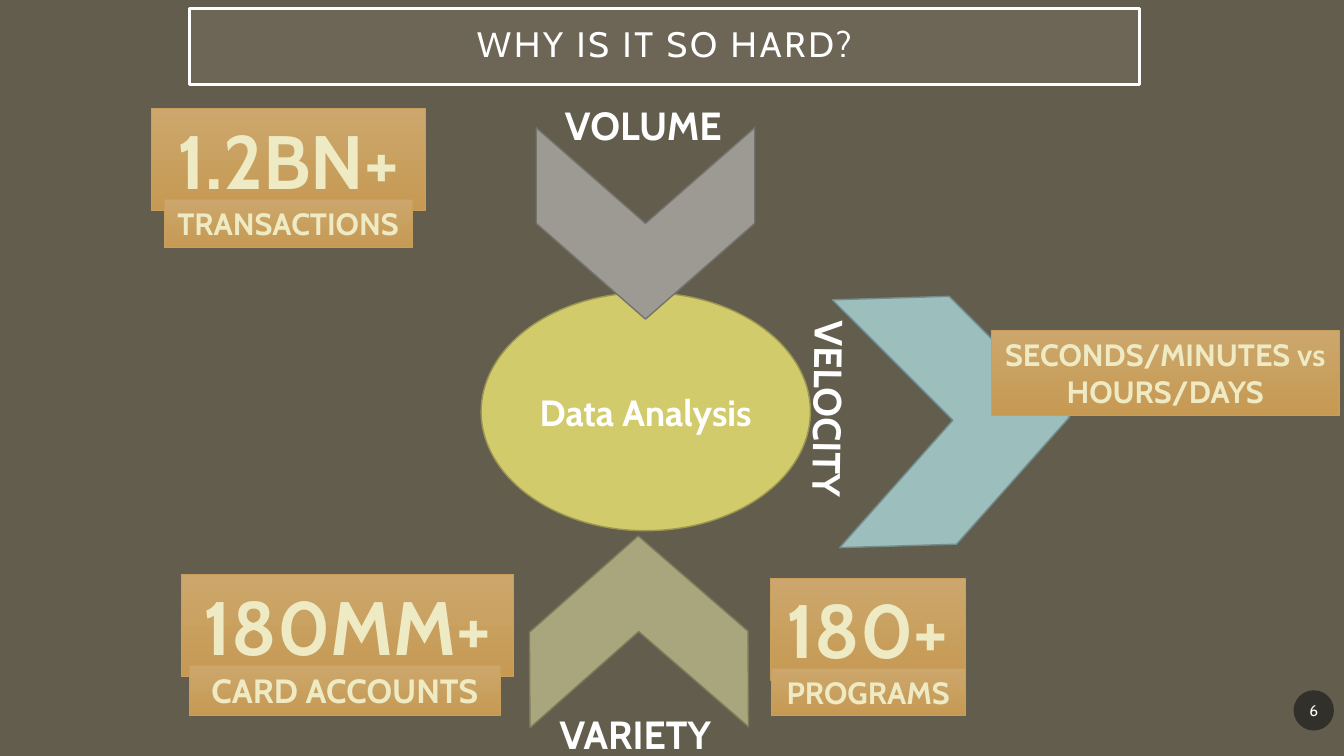
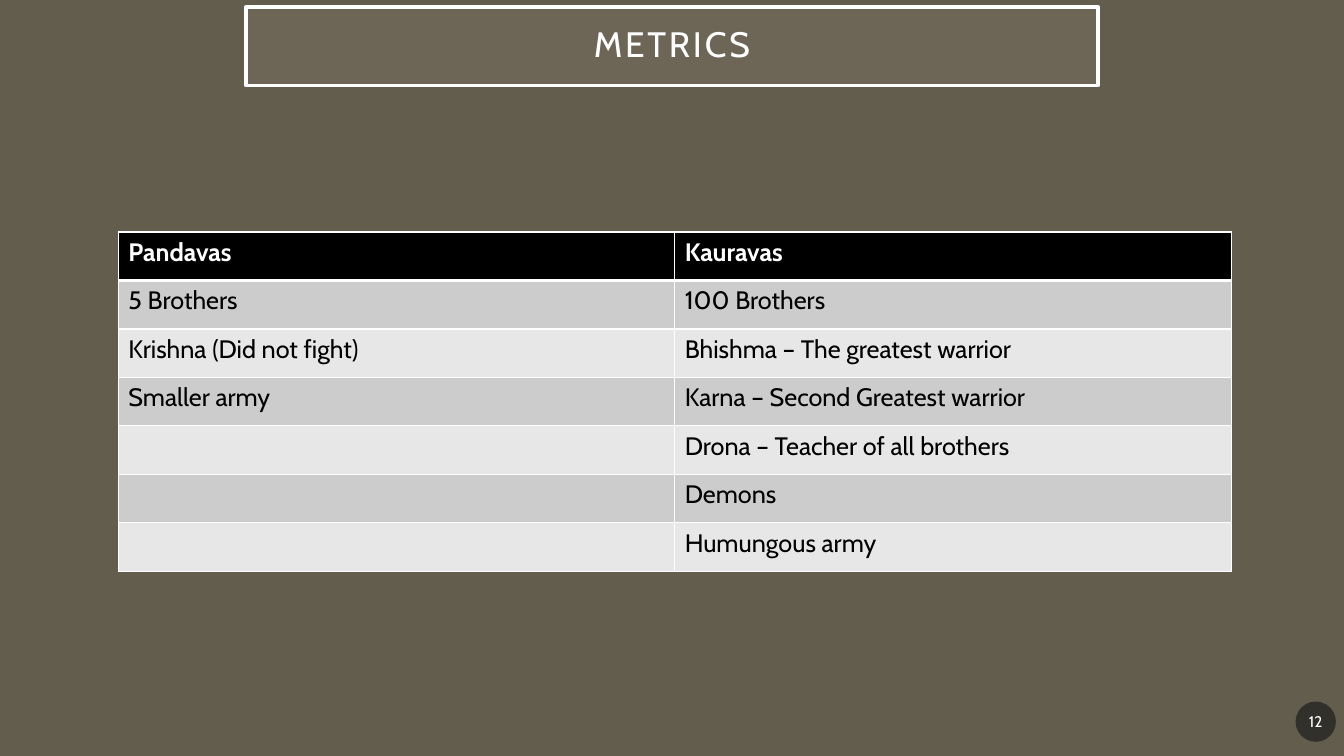
from dataclasses import dataclass

from lxml import etree
from pptx import Presentation
from pptx.dml.color import RGBColor
from pptx.enum.shapes import MSO_SHAPE
from pptx.enum.text import MSO_ANCHOR, MSO_AUTO_SIZE, PP_ALIGN
from pptx.oxml.ns import qn
from pptx.util import Inches, Pt

RECTANGLE, OVAL, CHEVRON = MSO_SHAPE.RECTANGLE, MSO_SHAPE.OVAL, MSO_SHAPE.CHEVRON
TOP, MIDDLE = MSO_ANCHOR.TOP, MSO_ANCHOR.MIDDLE
LEFT, CENTER = PP_ALIGN.LEFT, PP_ALIGN.CENTER
FIXED, GROW = MSO_AUTO_SIZE.NONE, MSO_AUTO_SIZE.SHAPE_TO_FIT_TEXT
SLIDE_WIDTH, SLIDE_HEIGHT = Inches(13.33), Inches(7.5)
TITLE_ONLY = 5


@dataclass(frozen=True)
class Theme:
    font: str = "Cabin"
    background: str = "635D4D"
    white: str = "FFFFFF"
    black: str = "000000"
    title_fill: str = "A7A08E"
    number_fill: str = "1D1D1D"
    hub: tuple = ("D2CB6C", "9B9650")
    volume: tuple = ("9D9A93", "74726D")
    velocity: tuple = ("9CBEBD", "738D8C")
    variety: tuple = ("A9A57C", "7D7A5C")
    badge_top: str = "CCA66C"
    badge_bottom: str = "C69A53"
    badge_line: str = "C89F5D"
    badge_text: str = "EDEAC4"
    badge_outline: str = "D2CB6C"
    bands: tuple = ("E7E7E7", "CCCCCC")
    title_size: float = 25.2
    hub_size: int = 26
    arrow_size: int = 28
    figure_size: int = 54
    caption_size: int = 22
    table_size: int = 18
    number_size: int = 11


THEME = Theme()


def rgb(color):
    return RGBColor.from_string(color)


def share(left, top, width, height):
    return (
        round(SLIDE_WIDTH * left / 100),
        round(SLIDE_HEIGHT * top / 100),
        round(SLIDE_WIDTH * width / 100),
        round(SLIDE_HEIGHT * height / 100),
    )


def line_element(tag, color, width):
    line = etree.Element(qn(tag), w=str(Pt(width)))
    fill = etree.SubElement(line, qn("a:solidFill"))
    etree.SubElement(fill, qn("a:srgbClr"), val=color)
    return line


def write(frame, text, *, size, color=THEME.white, bold=False, align=LEFT,
          anchor=TOP, wrap=True, fit=FIXED, insets=(0.1, 0.05),
          line_spacing=None, tracking=None, outline=None):
    frame.word_wrap = wrap
    frame.auto_size = fit
    frame.vertical_anchor = anchor
    frame.margin_left = frame.margin_right = Inches(insets[0])
    frame.margin_top = frame.margin_bottom = Inches(insets[1])
    paragraph = frame.paragraphs[0]
    paragraph.alignment = align
    if line_spacing:
        paragraph.line_spacing = line_spacing
    run = paragraph.add_run()
    run.text = text
    font = run.font
    font.name, font.size, font.bold = THEME.font, Pt(size), bold
    font.color.rgb = rgb(color)
    properties = run._r.get_or_add_rPr()
    if tracking:
        properties.set("spc", str(tracking * 100))
    if outline:
        properties.insert(0, line_element("a:ln", outline, 1.75))


def paint(shape, fill, line=None, line_width=1, opacity=None):
    shape.fill.solid()
    shape.fill.fore_color.rgb = rgb(fill)
    if opacity:
        color = shape.element.spPr.find(qn("a:solidFill"))[0]
        etree.SubElement(color, qn("a:alpha"), val=str(opacity * 1000))
    if line:
        shape.line.color.rgb = rgb(line)
        shape.line.width = Pt(line_width)
    else:
        shape.line.fill.background()


def add_shape(slide, kind, place):
    shape = slide.shapes.add_shape(kind, *share(*place))
    shape.shadow.inherit = False
    return shape


def add_titled_slide(presentation, title, place):
    slide = presentation.slides.add_slide(presentation.slide_layouts[TITLE_ONLY])
    shape = slide.shapes.title
    shape.left, shape.top, shape.width, shape.height = share(*place)
    paint(shape, THEME.title_fill, THEME.white, 2.5, opacity=15)
    write(shape.text_frame, title, size=THEME.title_size, align=CENTER,
          anchor=MIDDLE, insets=(0.2, 0.2), line_spacing=0.9, tracking=2)
    return slide


def add_number(slide, number, left, top):
    disc = add_shape(slide, OVAL, (left, top, 3, 5.33))
    paint(disc, THEME.number_fill, opacity=70)
    write(disc.text_frame, number, size=THEME.number_size, align=CENTER,
          anchor=MIDDLE, insets=(0.02, 0.05))


def add_hub(slide, text, place):
    hub = add_shape(slide, OVAL, place)
    paint(hub, *THEME.hub)
    write(hub.text_frame, text, size=THEME.hub_size, bold=True,
          align=CENTER, anchor=MIDDLE)


def add_arrow(slide, colors, place, rotation):
    arrow = add_shape(slide, CHEVRON, place)
    arrow.rotation = rotation
    paint(arrow, *colors)


def add_arrow_label(slide, text, place, rotation=0, wrap=False):
    label = slide.shapes.add_textbox(*share(*place))
    label.rotation = rotation
    write(label.text_frame, text, size=THEME.arrow_size, bold=True,
          wrap=wrap, fit=GROW)


def add_badge(slide, text, place, size=THEME.caption_size, wrap=False):
    badge = add_shape(slide, RECTANGLE, place)
    badge.fill.gradient()
    badge.fill.gradient_angle = 270
    for stop, color in zip(badge.fill.gradient_stops,
                           (THEME.badge_top, THEME.badge_bottom)):
        stop.color.rgb = rgb(color)
    badge.line.color.rgb = rgb(THEME.badge_line)
    badge.line.width = Pt(0.5)
    write(badge.text_frame, text, size=size, color=THEME.badge_text, bold=True,
          align=CENTER, wrap=wrap, fit=GROW, outline=THEME.badge_outline)


def border_cell(cell, row):
    widths = {"a:lnL": 1, "a:lnR": 1,
              "a:lnT": 3 if row == 1 else 1,
              "a:lnB": 3 if row == 0 else 1}
    properties = cell._tc.get_or_add_tcPr()
    for position, (tag, width) in enumerate(widths.items()):
        properties.insert(position, line_element(tag, THEME.white, width))


def add_comparison(slide, rows, place):
    frame = slide.shapes.add_table(len(rows), len(rows[0]), *share(*place))
    for row, texts in enumerate(rows):
        header = row == 0
        for column, text in enumerate(texts):
            cell = frame.table.cell(row, column)
            cell.fill.solid()
            cell.fill.fore_color.rgb = rgb(
                THEME.black if header else THEME.bands[row % 2])
            border_cell(cell, row)
            paragraph = cell.text_frame.paragraphs[0]
            paragraph.font.size = Pt(THEME.table_size)
            if text:
                run = paragraph.add_run()
                run.text = text
                run.font.name = THEME.font
                run.font.size = Pt(THEME.table_size)
                run.font.bold = header
                run.font.color.rgb = rgb(THEME.white if header else THEME.black)


def build_challenges(presentation):
    slide = add_titled_slide(presentation, "WHY IS IT SO HARD?",
                             (14.1, 1.1, 70.7, 10.1))
    add_hub(slide, "Data Analysis", (35.8, 38.7, 24.5, 31.5))
    add_arrow(slide, THEME.volume, (40.9, 15.1, 14.25, 28.9), 90)
    add_arrow_label(slide, "VOLUME", (41.3, 12.7, 13.4, 7.6))
    add_arrow(slide, THEME.velocity, (62.2, 39.2, 17.4, 32.8), 358.3)
    add_arrow_label(slide, "VELOCITY", (52.2, 54.1, 18.9, 7.6), 90.8, wrap=True)
    add_arrow(slide, THEME.variety, (40.4, 69.1, 14.25, 28.9), 269.7)
    add_arrow_label(slide, "VARIETY", (40.9, 93.3, 12.9, 7.6), 359.8)
    add_badge(slide, "180+", (57.3, 76.5, 14.5, 13.5), THEME.figure_size)
    add_badge(slide, "PROGRAMS", (57.4, 88.4, 14.4, 6.3))
    add_badge(slide, "180MM+", (13.5, 76, 24.7, 13.5), THEME.figure_size)
    add_badge(slide, "CARD ACCOUNTS", (14.1, 88, 23.1, 6.7), 24)
    add_badge(slide, "1.2BN+", (11.25, 14.4, 20.4, 13.5), THEME.figure_size)
    add_badge(slide, "TRANSACTIONS", (12.2, 26.4, 18.45, 6.3))
    add_badge(slide, "SECONDS/MINUTES vs HOURS/DAYS",
              (73.75, 43.7, 25.9, 11.2), wrap=True)
    add_number(slide, "6", 96.25, 91.3)


def build_metrics(presentation):
    slide = add_titled_slide(presentation, "METRICS", (18.3, 0.9, 63.4, 10.4))
    rows = [
        ("Pandavas", "Kauravas"),
        ("5 Brothers", "100 Brothers"),
        ("Krishna (Did not fight)", "Bhishma – The greatest warrior"),
        ("Smaller army", "Karna – Second Greatest warrior"),
        ("", "Drona – Teacher of all brothers"),
        ("", "Demons"),
        ("", "Humungous army"),
    ]
    add_comparison(slide, rows, (8.8, 30.7, 82.8, 44.9))
    add_number(slide, "12", 96.4, 92.8)


def main():
    presentation = Presentation()
    presentation.slide_width = SLIDE_WIDTH
    presentation.slide_height = SLIDE_HEIGHT
    background = presentation.slide_master.background.fill
    background.solid()
    background.fore_color.rgb = rgb(THEME.background)
    build_challenges(presentation)
    build_metrics(presentation)
    presentation.save("out.pptx")


if __name__ == "__main__":
    main()
